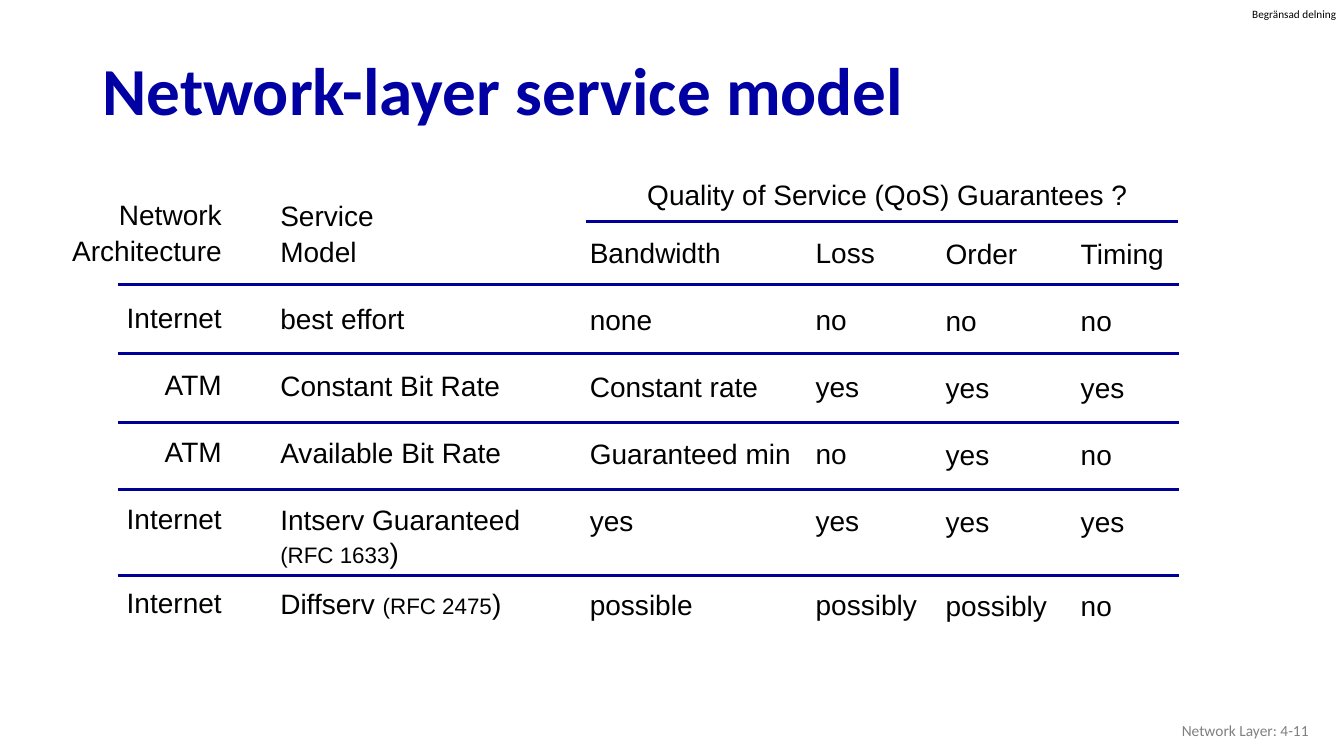
from pptx import Presentation
from pptx.dml.color import RGBColor
from pptx.enum.shapes import MSO_CONNECTOR
from pptx.enum.text import MSO_ANCHOR, PP_ALIGN
from pptx.oxml import parse_xml
from pptx.oxml.ns import nsdecls
from pptx.util import Inches, Pt

BLACK = RGBColor(0x00, 0x00, 0x00)
TITLE_BLUE = RGBColor(0x00, 0x00, 0xA3)
RULE_BLUE = RGBColor(0x00, 0x00, 0x99)
GREY = RGBColor(0x80, 0x80, 0x80)

TITLE_FONT = dict(name="Calibri", size=Pt(48), bold=True)
LABEL_FONT = dict(name="Calibri", size=Pt(8))
FOOTER_FONT = dict(name="Calibri", size=Pt(11))
BODY_FONT = dict(name="Arial", size=Pt(20))
RFC_FONT = dict(name="Arial", size=Pt(16))

COLUMN_WIDTHS = [2.08, 3.07, 2.24, 1.29, 1.34, 1.12]
COLUMN_DROPS = [0, 0.01, 0.02, 0.02, 0.03, 0.03]
ROW_HEIGHTS = [0.6, 0.54, 0.67, 0.66, 0.67, 0.83, 0.5]
HEADER_DROP, SUBHEADER_DROP, BODY_DROP = 0.26, 0, 0.12
QOS_RULE_OFFSET = 0.49
RULE_OFFSETS = [1.11, 1.8, 2.48, 3.15, 4.0]

# A cell is a list of lines; a line is a list of (text, font) runs.
SUBHEADERS = ["Architecture", "Model", "Bandwidth", "Loss", "Order", "Timing"]
BODY_ROWS = [
    ["Internet", "best effort", "none", "no", "no", "no"],
    ["ATM", "Constant Bit Rate", "Constant rate", "yes", "yes", "yes"],
    ["ATM", "Available Bit Rate", "Guaranteed min", "no", "yes", "no"],
    ["Internet",
     [[("Intserv Guaranteed", BODY_FONT)],
      [("(RFC 1633", RFC_FONT), (")", BODY_FONT)]],
     "yes", "yes", "yes", "yes"],
    ["Internet",
     [[("Diffserv ", BODY_FONT), ("(RFC 2475", RFC_FONT), (")", BODY_FONT)]],
     "possible", "possibly", "possibly", "no"],
]


def set_attributes(target, values):
    for name, value in values.items():
        setattr(target, name, value)


def write_lines(text_frame, lines, color, **paragraph_format):
    for index, line in enumerate(lines):
        paragraph = text_frame.add_paragraph() if index else text_frame.paragraphs[0]
        set_attributes(paragraph, paragraph_format)
        for text, font in line:
            run = paragraph.add_run()
            run.text = text
            set_attributes(run.font, font)
            run.font.color.rgb = color


def add_text(slide, box, text, font, color, frame_format, **paragraph_format):
    text_frame = slide.shapes.add_textbox(*map(Inches, box)).text_frame
    set_attributes(text_frame, frame_format)
    write_lines(text_frame, [[(text, font)]], color, **paragraph_format)


def add_rule(slide, left, right, y):
    rule = slide.shapes.add_connector(
        MSO_CONNECTOR.STRAIGHT, Inches(left), Inches(y), Inches(right), Inches(y))
    rule.line.color.rgb = RULE_BLUE
    rule.line.width = Pt(2.25)
    rule._element.spPr.append(parse_xml(f"<a:effectLst {nsdecls('a')}/>"))


def fill_cell(table, row, column, content, drop, left=0.1):
    """Write content with its first line the given drop below the cell top."""
    cell = table.cell(row, column)
    first = column == 0
    set_attributes(cell, dict(
        margin_left=Inches(0 if first else left),
        margin_right=Inches(0.48 if first else 0),
        margin_top=Inches(drop + COLUMN_DROPS[column]),
        margin_bottom=0,
        vertical_anchor=MSO_ANCHOR.TOP))
    lines = [[(content, BODY_FONT)]] if isinstance(content, str) else content
    write_lines(cell.text_frame, lines, BLACK, line_spacing=1.05,
                alignment=PP_ALIGN.RIGHT if first else PP_ALIGN.LEFT)


def add_service_table(slide, left, top):
    frame = slide.shapes.add_table(
        len(ROW_HEIGHTS), len(COLUMN_WIDTHS), Inches(left), Inches(top),
        Inches(sum(COLUMN_WIDTHS)), Inches(sum(ROW_HEIGHTS)))
    table = frame.table
    set_attributes(table, dict(first_row=False, horz_banding=False))
    for column, width in zip(table.columns, COLUMN_WIDTHS):
        column.width = Inches(width)
    for row, height in zip(table.rows, ROW_HEIGHTS):
        row.height = Inches(height)
    for cell in table.iter_cells():
        cell.fill.background()

    for column, text in enumerate(["Network", "Service"]):
        fill_cell(table, 0, column, text, HEADER_DROP)
    table.cell(0, 2).merge(table.cell(0, 5))
    fill_cell(table, 0, 2, "Quality of Service (QoS) Guarantees ?", 0.04, left=0.67)
    for column, text in enumerate(SUBHEADERS):
        fill_cell(table, 1, column, text, SUBHEADER_DROP)
    for row, contents in enumerate(BODY_ROWS, start=2):
        for column, content in enumerate(contents):
            fill_cell(table, row, column, content, BODY_DROP)

    add_rule(slide, left + 5.21, left + 11.08, top + QOS_RULE_OFFSET)
    for offset in RULE_OFFSETS:
        add_rule(slide, left + 0.57, left + 11.09, top + offset)


def main():
    presentation = Presentation()
    presentation.slide_width = Inches(13.33)
    presentation.slide_height = Inches(7.5)
    slide = presentation.slides.add_slide(presentation.slide_layouts[6])
    middle = dict(word_wrap=True, vertical_anchor=MSO_ANCHOR.MIDDLE)
    no_margins = dict(word_wrap=False, margin_left=0, margin_right=0,
                      margin_top=0, margin_bottom=0)
    add_text(slide, (12.42, 0.07, 0.86, 0.13), "Begränsad delning",
             LABEL_FONT, BLACK, no_margins)
    add_text(slide, (0.92, 0.44, 11.5, 0.98), "Network-layer service model",
             TITLE_FONT, TITLE_BLUE, middle, line_spacing=0.9)
    add_service_table(slide, 0.6, 1.71)
    add_text(slide, (10.08, 7.05, 3, 0.4), "Network Layer: 4-11",
             FOOTER_FONT, GREY, middle, alignment=PP_ALIGN.RIGHT)
    presentation.save("out.pptx")


if __name__ == "__main__":
    main()
